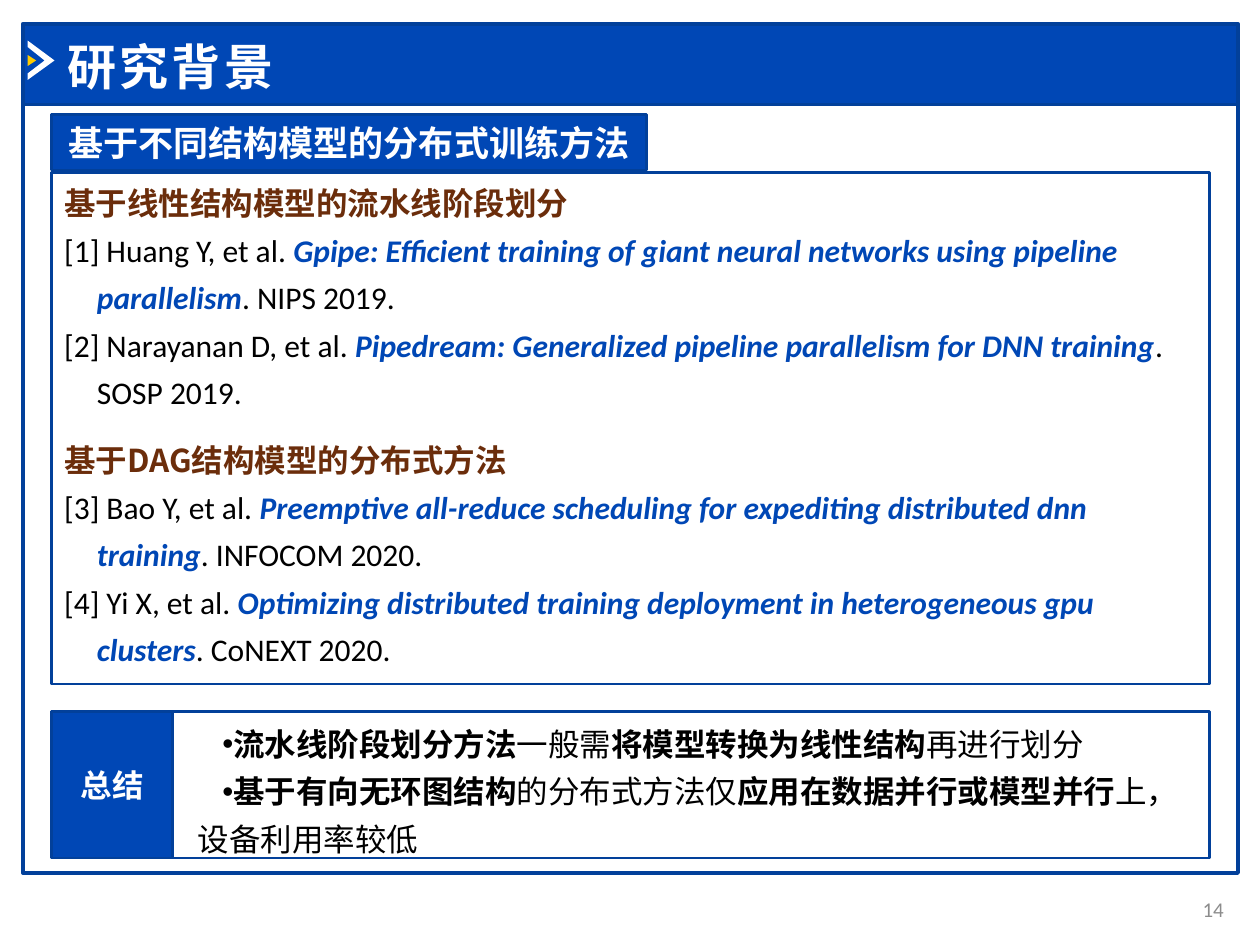
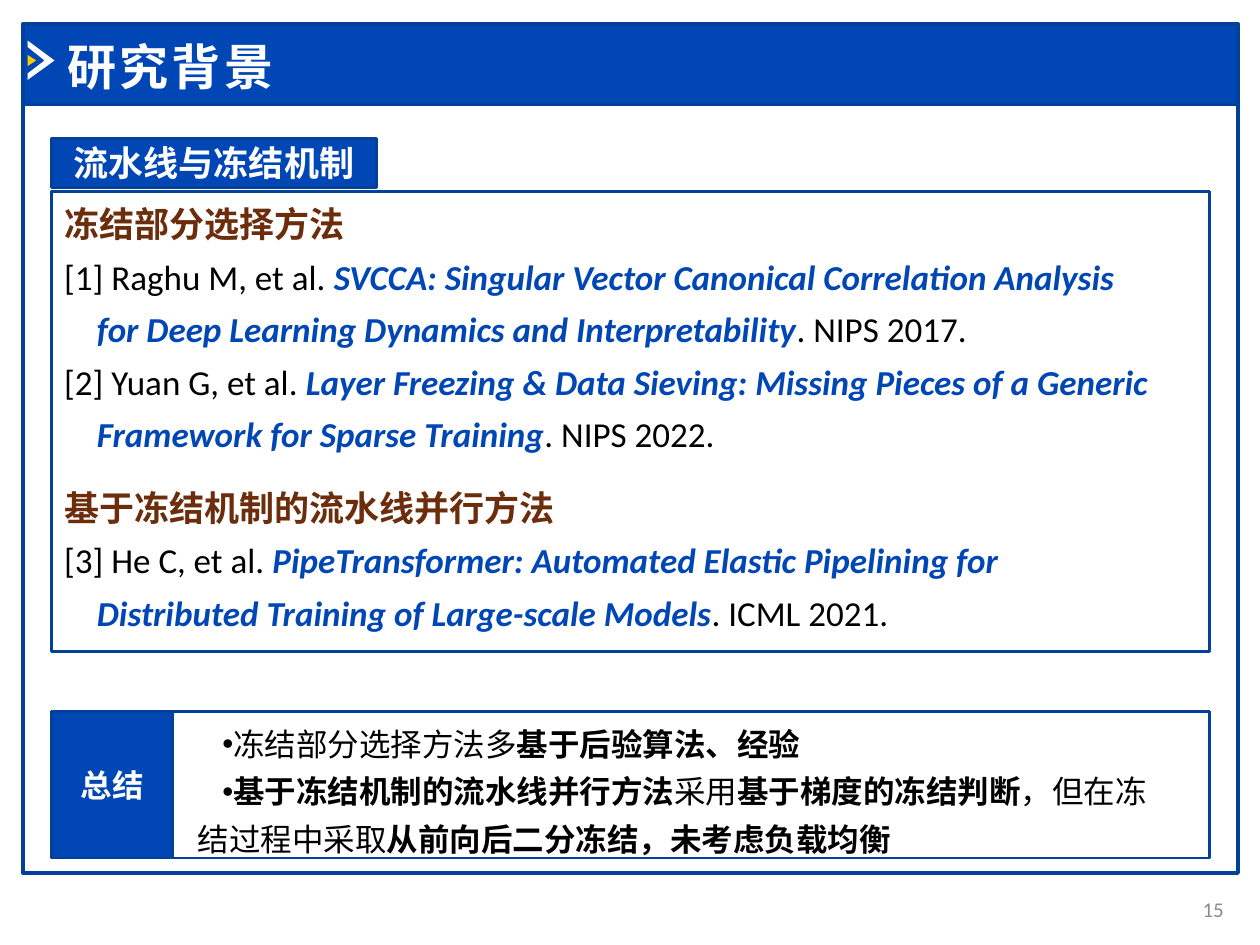
from lxml import etree
from pptx import Presentation
from pptx.dml.color import RGBColor
from pptx.enum import shapes, text
from pptx.oxml import ns
from pptx.util import Cm, Pt

BLUE = RGBColor(0x00, 0x47, 0xB5)
EDGE = RGBColor(0x02, 0x40, 0x9A)
BROWN = RGBColor(0x6B, 0x2D, 0x0B)
YELLOW = RGBColor(0xFF, 0xCC, 0x00)
WHITE = RGBColor(0xFF, 0xFF, 0xFF)
BLACK = RGBColor(0x00, 0x00, 0x00)
GREY = RGBColor(0x8C, 0x8C, 0x8C)

LATIN = "Calibri"
CJK = "Noto Sans CJK SC"

# Shared layout, in centimetres
LEFT = 1.04
PANEL_WIDTH = 23.34
LABEL_WIDTH = 2.44
SUMMARY_TOP, SUMMARY_HEIGHT = 14.35, 2.95
HANGING = Cm(0.66)

# Content: "|" separates the plain and the emphasised parts of a line
TOPICS = [
    {
        "number": "14",
        "tag": "基于不同结构模型的分布式训练方法",
        "tag_box": (2.31, 11.99, 1.12),
        "panel": (3.48, 10.31),
        "size": 18,
        "groups": [
            ("基于线性结构模型的流水线阶段划分", [
                "[1] Huang Y, et al. |Gpipe: Efficient training of giant neural "
                "networks using pipeline parallelism|. NIPS 2019.",
                "[2] Narayanan D, et al. |Pipedream: Generalized pipeline "
                "parallelism for DNN training|. SOSP 2019.",
            ]),
            ("基于DAG结构模型的分布式方法", [
                "[3] Bao Y, et al. |Preemptive all-reduce scheduling for "
                "expediting distributed dnn training|. INFOCOM 2020.",
                "[4] Yi X, et al. |Optimizing distributed training deployment in "
                "heterogeneous gpu clusters|. CoNEXT 2020.",
            ]),
        ],
        "summary_width": 19.69,
        "summary": [
            "|流水线阶段划分方法|一般需|将模型转换为线性结构|再进行划分",
            "|基于有向无环图结构|的分布式方法仅|应用在数据并行或模型并行|上，设备利用率较低",
        ],
    },
    {
        "number": "15",
        "tag": "流水线与冻结机制",
        "tag_box": (2.79, 6.55, 0.99),
        "panel": (3.86, 9.27),
        "size": 20,
        "groups": [
            ("冻结部分选择方法", [
                "[1] Raghu M, et al. |SVCCA: Singular Vector Canonical Correlation "
                "Analysis for Deep Learning Dynamics and Interpretability|. NIPS 2017.",
                "[2] Yuan G, et al. |Layer Freezing & Data Sieving: Missing Pieces of "
                "a Generic Framework for Sparse Training|. NIPS 2022.",
            ]),
            ("基于冻结机制的流水线并行方法", [
                "[3] He C, et al. |PipeTransformer: Automated Elastic Pipelining for "
                "Distributed Training of Large-scale Models|. ICML 2021.",
            ]),
        ],
        "summary_width": 19.99,
        "summary": [
            "冻结部分选择方法多|基于后验算法、经验",
            "|基于冻结机制的流水线并行方法|采用|基于梯度的冻结判断|，但在冻结过程中采取|"
            "从前向后二分冻结，未考虑负载均衡",
        ],
    },
]


# Text helpers
def style_run(run, size, color, bold=False, italic=False, latin=LATIN):
    font = run.font
    font.size, font.bold, font.italic = Pt(size), bold, italic
    font.color.rgb = color
    font.name = latin
    east_asian = etree.SubElement(run._r.get_or_add_rPr(), ns.qn("a:ea"))
    east_asian.set("typeface", CJK)


def set_bullet(paragraph, char, margin, indent):
    props = paragraph._p.get_or_add_pPr()
    props.set("marL", str(margin))
    props.set("indent", str(indent))
    bullet = etree.SubElement(props, ns.qn("a:buChar" if char else "a:buNone"))
    if char:
        bullet.set("char", char)


def place(holder, left, top, width, height):
    holder.left, holder.top = Cm(left), Cm(top)
    holder.width, holder.height = Cm(width), Cm(height)
    holder.text_frame.word_wrap = True
    holder.text_frame.auto_size = text.MSO_AUTO_SIZE.NONE


def add_line(frame, is_first, spacing=1.25, before=0):
    paragraph = frame.paragraphs[0] if is_first else frame.add_paragraph()
    paragraph.line_spacing = spacing
    paragraph.space_before = Pt(before)
    return paragraph


def add_parts(paragraph, line, size, **emphasis):
    """Write the parts of a line; every second one is emphasised."""
    for index, part in enumerate(line.split("|")):
        if part:
            run = paragraph.add_run()
            run.text = part
            if index % 2:
                style_run(run, size, **emphasis)
            else:
                style_run(run, size, BLACK)


# Shape helpers
def add_box(slide, left, top, width, height, fill=None, line_width=1.5):
    box = slide.shapes.add_shape(
        shapes.MSO_SHAPE.RECTANGLE, Cm(left), Cm(top), Cm(width), Cm(height))
    box.shadow.inherit = False
    box.line.color.rgb, box.line.width = EDGE, Pt(line_width)
    if fill is None:
        box.fill.background()
    else:
        box.fill.solid()
        box.fill.fore_color.rgb = fill
    return box


def add_label(slide, caption, size, *bounds):
    label = add_box(slide, *bounds, fill=BLUE)
    frame = label.text_frame
    frame.text = caption
    frame.vertical_anchor = text.MSO_ANCHOR.MIDDLE
    frame.paragraphs[0].alignment = text.PP_ALIGN.CENTER
    style_run(frame.paragraphs[0].runs[0], size, WHITE, bold=True)


def add_outline(slide, points, fill):
    corners = [(Cm(x), Cm(y)) for x, y in points]
    builder = slide.shapes.build_freeform(*corners[0])
    builder.add_line_segments(corners[1:])
    outline = builder.convert_to_shape()
    outline.shadow.inherit = False
    outline.fill.solid()
    outline.fill.fore_color.rgb = fill
    outline.line.fill.background()
    return outline


def add_frame_to_layout(slide):
    """Draw the page frame, title band and arrow, and hand them to the layout."""
    parts = [
        add_box(slide, 0.46, 2.11, 24.5, 15.49, line_width=2),
        add_box(slide, 0.46, 0.48, 24.5, 1.63, fill=BLUE, line_width=2),
        add_outline(slide, [(0.56, 0.82), (1.1, 1.22), (0.56, 1.61),
                            (0.56, 1.48), (0.9, 1.22), (0.56, 0.95)], WHITE),
        add_outline(slide, [(0.56, 1.11), (0.73, 1.22), (0.56, 1.33)], YELLOW),
    ]
    for part in parts:
        slide.slide_layout.shapes.element.append(part.element)


# Slide parts
def set_title(slide, caption):
    title = slide.shapes.title
    place(title, 1.1, 0.61, 21.03, 1.45)
    title.text_frame.text = caption
    title.text_frame.vertical_anchor = text.MSO_ANCHOR.MIDDLE
    paragraph = title.text_frame.paragraphs[0]
    paragraph.alignment = text.PP_ALIGN.LEFT
    style_run(paragraph.runs[0], 28, WHITE, bold=True)
    paragraph.runs[0]._r.get_or_add_rPr().set("spc", "200")


def add_page_number(slide, number):
    box = slide.shapes.add_textbox(Cm(23.42), Cm(17.81), Cm(1.5), Cm(1.02))
    frame = box.text_frame
    frame.word_wrap = True
    frame.text = number
    frame.vertical_anchor = text.MSO_ANCHOR.MIDDLE
    frame.paragraphs[0].alignment = text.PP_ALIGN.RIGHT
    style_run(frame.paragraphs[0].runs[0], 12, GREY)


def add_references(slide, holder, topic):
    top, height = topic["panel"]
    tag_top, tag_width, tag_height = topic["tag_box"]
    size = topic["size"]
    add_box(slide, LEFT, top, PANEL_WIDTH, height)
    add_label(slide, topic["tag"], 20, LEFT, tag_top, tag_width, tag_height)

    place(holder, LEFT, top + 0.1, 22.68, height + 0.4)
    for index, (heading, references) in enumerate(topic["groups"]):
        is_first = index == 0
        paragraph = add_line(holder.text_frame, is_first,
                             spacing=1.0 if is_first else 1.25,
                             before=0 if is_first else 12)
        set_bullet(paragraph, None, HANGING, -HANGING)
        paragraph.text = heading
        style_run(paragraph.runs[0], size, BROWN, bold=True, latin=CJK)
        for reference in references:
            paragraph = add_line(holder.text_frame, False)
            set_bullet(paragraph, None, HANGING, -HANGING)
            add_parts(paragraph, reference, size,
                      color=BLUE, bold=True, italic=True)


def add_summary(slide, holder, topic):
    add_label(slide, "总结", 18, LEFT, SUMMARY_TOP, LABEL_WIDTH, SUMMARY_HEIGHT)
    add_box(slide, LEFT + LABEL_WIDTH, SUMMARY_TOP,
            PANEL_WIDTH - LABEL_WIDTH, SUMMARY_HEIGHT)
    place(holder, 3.73, SUMMARY_TOP - 0.05, topic["summary_width"], SUMMARY_HEIGHT)
    for index, conclusion in enumerate(topic["summary"]):
        paragraph = add_line(holder.text_frame, index == 0)
        set_bullet(paragraph, "•", 0, Cm(0.5))
        add_parts(paragraph, conclusion, 18, color=BLACK, bold=True)


def main():
    deck = Presentation()
    deck.slide_width, deck.slide_height = Cm(25.4), Cm(19.05)
    layout = deck.slide_layouts[3]  # title and two text areas

    for index, topic in enumerate(TOPICS):
        slide = deck.slides.add_slide(layout)
        if index == 0:
            add_frame_to_layout(slide)
        references, summary = list(slide.placeholders)[1:]
        set_title(slide, "研究背景")
        add_references(slide, references, topic)
        add_summary(slide, summary, topic)
        add_page_number(slide, topic["number"])

    deck.save("out.pptx")


if __name__ == "__main__":
    main()
